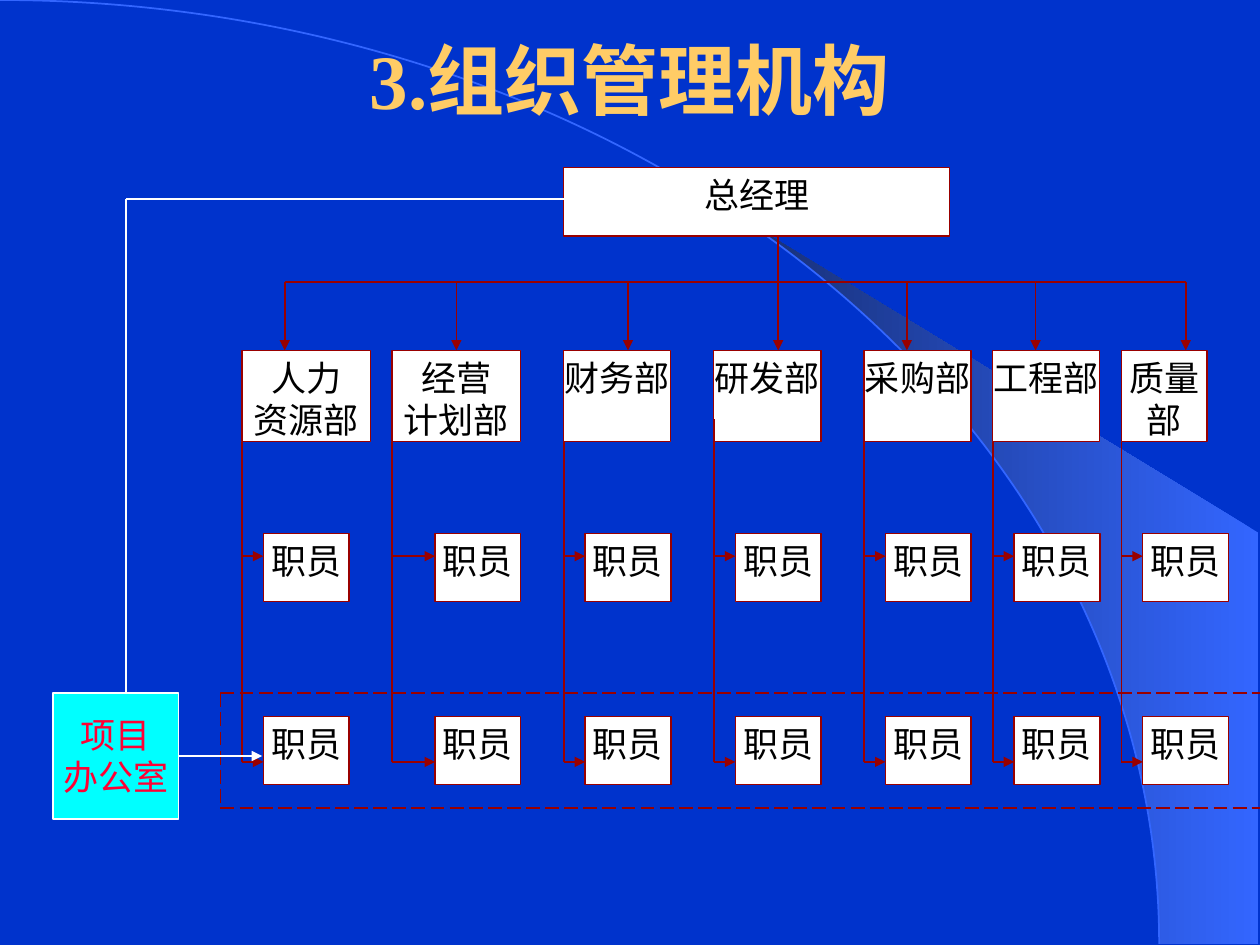
"""Build the organisation chart slide with its seven departments."""
import math
from dataclasses import dataclass

from lxml import etree
from pptx import Presentation
from pptx.dml.color import RGBColor
from pptx.enum.dml import MSO_LINE
from pptx.enum.shapes import MSO_CONNECTOR, MSO_SHAPE
from pptx.enum.text import MSO_ANCHOR, MSO_AUTO_SIZE, PP_ALIGN
from pptx.oxml.ns import qn
from pptx.util import Inches, Pt

RECTANGLE, ARC = MSO_SHAPE.RECTANGLE, MSO_SHAPE.ARC
STRAIGHT = MSO_CONNECTOR.STRAIGHT
LONG_DASH = MSO_LINE.LONG_DASH
TOP, MIDDLE = MSO_ANCHOR.TOP, MSO_ANCHOR.MIDDLE
CENTER, NO_AUTOFIT = PP_ALIGN.CENTER, MSO_AUTO_SIZE.NONE

WIDTH, HEIGHT = 10, 7.5
FONT = "Times New Roman"
BORDER_WEIGHT, BRANCH_WEIGHT = 0.75, 1
COLORS = {
    "background": "0033CC", "glow": "3366FF", "shade": "172F75",
    "title": "FFCC66", "rule": "990000", "white": "FFFFFF",
    "black": "000000", "office": "00FFFF", "office_text": "FF0033",
}
GRID_LEFT, GRID_TOP = 1.92, 1.33
COLUMN, ROW = 6.98 / 41, 5.08 / 28
ARC_WIDTH, ARC_HEIGHT = 0.92 * WIDTH, 7.49
BUS_ROW, DEPARTMENT_ROW, TRUNK_END = 5, 8, 26
STAFF_ROWS = {16: 17, 24: TRUNK_END}


@dataclass(frozen=True)
class Department:
    lines: tuple[str, ...]
    column: int
    width: int
    drop: int
    staff_indent: int = 1
    trunk_row: int = 12


DEPARTMENTS = (
    Department(("人力", "资源部"), 0, 6, 2),
    Department(("经营", "计划部"), 7, 6, 3, staff_indent=2),
    Department(("财务部",), 15, 5, 3),
    Department(("研发部",), 22, 5, 3, trunk_row=11),
    Department(("采购部",), 29, 5, 2, trunk_row=11),
    Department(("工程部",), 35, 5, 2),
    Department(("质量部",), 41, 4, 3),
)


def color(name: str) -> RGBColor:
    """Look up a named colour."""
    return RGBColor.from_string(COLORS[name])


def at(column: float, row: float) -> tuple[float, float]:
    """Turn a grid position into inches."""
    return GRID_LEFT + column * COLUMN, GRID_TOP + row * ROW


def add_text(paragraph, text: str, size: int, ink: str, bold: bool = False) -> None:
    """Add one centred run to a paragraph."""
    paragraph.alignment = CENTER
    run = paragraph.add_run()
    run.text = text
    run.font.name, run.font.size, run.font.bold = FONT, Pt(size), bold
    run.font.color.rgb = color(ink)


def add_box(slide, corner: tuple[float, float], size: tuple[float, float],
            lines: tuple[str, ...], inset: float = 0, fill: str = "white",
            border: str = "rule", ink: str = "black", anchor=TOP, wrap: bool = True) -> None:
    """Draw a bordered box with one paragraph per line."""
    box = slide.shapes.add_shape(RECTANGLE, *map(Inches, corner + size))
    box.shadow.inherit = False
    box.fill.solid()
    box.fill.fore_color.rgb = color(fill)
    box.line.color.rgb = color(border)
    box.line.width = Pt(BORDER_WEIGHT)
    frame = box.text_frame
    frame.word_wrap, frame.vertical_anchor = wrap, anchor
    frame.margin_left = frame.margin_right = Inches(inset)
    frame.margin_top = frame.margin_bottom = Inches(0.05)
    for index, line in enumerate(lines):
        paragraph = frame.add_paragraph() if index else frame.paragraphs[0]
        add_text(paragraph, line, 20, ink)


def add_line(slide, start: tuple[float, float], end: tuple[float, float],
             ink: str = "rule", weight: float = BRANCH_WEIGHT,
             arrow: bool = False, dashed: bool = False) -> None:
    """Draw a straight line, with an arrowhead or dashes if asked."""
    connector = slide.shapes.add_connector(STRAIGHT, *map(Inches, start + end))
    connector.line.color.rgb = color(ink)
    connector.line.width = Pt(weight)
    if dashed:
        connector.line.dash_style = LONG_DASH
    if arrow:
        etree.SubElement(connector.line._get_or_add_ln(), qn("a:tailEnd"), type="triangle")
    etree.SubElement(connector.element.spPr, qn("a:effectLst"))


def add_backdrop(slide) -> None:
    """Put the blue ground, the light beam and the arc on the master."""
    master = slide.slide_layout.slide_master
    master.background.fill.solid()
    master.background.fill.fore_color.rgb = color("background")

    start = math.asin(5.89 / ARC_WIDTH)
    angles = [start + (math.pi / 2 - start) * step / 24 for step in range(25)]
    curve = [(ARC_WIDTH * math.sin(angle), ARC_HEIGHT * (1 - math.cos(angle)))
             for angle in angles]
    builder = slide.shapes.build_freeform(*map(Inches, curve[0]))
    edge = curve[1:] + [(9.99, ARC_HEIGHT), (9.99, 4.23)]
    builder.add_line_segments([tuple(map(Inches, point)) for point in edge])
    beam = builder.convert_to_shape()
    beam.shadow.inherit = False
    beam.line.fill.background()
    beam.fill.gradient()
    beam.fill.gradient_angle = 180
    for stop, name, position in zip(beam.fill.gradient_stops, ("glow", "shade"), (0, 1)):
        stop.color.rgb = color(name)
        stop.position = position

    arc = slide.shapes.add_shape(ARC, Inches(-ARC_WIDTH), 0,
                                 Inches(2 * ARC_WIDTH), Inches(2 * ARC_HEIGHT))
    arc.shadow.inherit = False
    arc.fill.background()
    arc.line.color.rgb = color("glow")
    arc.line.width = Pt(1)
    for index, part in enumerate((beam, arc), start=2):
        master.shapes.element.insert(index, part.element)


def add_title(slide, text: str) -> None:
    """Place and format the slide title."""
    title = slide.shapes.title
    title.left, title.top = Inches(0.075 * WIDTH), 0
    title.width, title.height = Inches(0.85 * WIDTH), Inches(HEIGHT / 6)
    title.text_frame.auto_size = NO_AUTOFIT
    title.text_frame.vertical_anchor = MIDDLE
    add_text(title.text_frame.paragraphs[0], text, 44, "title", bold=True)


def add_department(slide, department: Department) -> None:
    """Draw a department, its staff boxes and the branches between them."""
    left = department.column
    staff = left + department.staff_indent
    add_box(slide, at(left, DEPARTMENT_ROW), (department.width * COLUMN, 4 * ROW),
            department.lines)
    for row in STAFF_ROWS:
        add_box(slide, at(staff, row), (4 * COLUMN, 3 * ROW), ("职员",))
    add_line(slide, at(left, department.trunk_row), at(left, TRUNK_END))
    for branch in STAFF_ROWS.values():
        add_line(slide, at(left, branch), at(staff, branch), arrow=True)


def add_project_office(slide) -> None:
    """Draw the dashed project team and the office that leads it."""
    team_left, team_top = at(-1, 23)
    team_bottom = at(-1, 28)[1]
    for y in (team_top, team_bottom):
        add_line(slide, (team_left, y), (WIDTH, y), dashed=True)
    add_line(slide, (team_left, team_top), (team_left, team_bottom), dashed=True)
    add_box(slide, (0.42, 5.5), (1, 1), ("项目", "办公室"), inset=0.1, fill="office",
            border="white", ink="office_text", anchor=MIDDLE, wrap=False)
    add_line(slide, (1.42, 6), (2.08, 6), "white", BORDER_WEIGHT, arrow=True)
    add_line(slide, (1, 5.5), (1, 1.58), "white", BORDER_WEIGHT)
    add_line(slide, (1, 1.58), (4.5, 1.58), "white", BORDER_WEIGHT)


def main() -> None:
    """Assemble and save the slide."""
    deck = Presentation()
    deck.slide_width, deck.slide_height = Inches(WIDTH), Inches(HEIGHT)
    slide = deck.slides.add_slide(deck.slide_layouts[5])
    add_backdrop(slide)
    add_title(slide, "3.组织管理机构")
    add_box(slide, at(15, 0), (18 * COLUMN, 3 * ROW), ("总经理",), inset=0.1)
    drops = [department.column + department.drop for department in DEPARTMENTS]
    add_line(slide, at(drops[0], BUS_ROW), at(drops[-1], BUS_ROW))
    for drop in drops:
        add_line(slide, at(drop, BUS_ROW), at(drop, DEPARTMENT_ROW), arrow=True)
    add_line(slide, at(drops[3], 3), at(drops[3], BUS_ROW))
    for department in DEPARTMENTS:
        add_department(slide, department)
    add_project_office(slide)
    deck.save("out.pptx")


if __name__ == "__main__":
    main()
